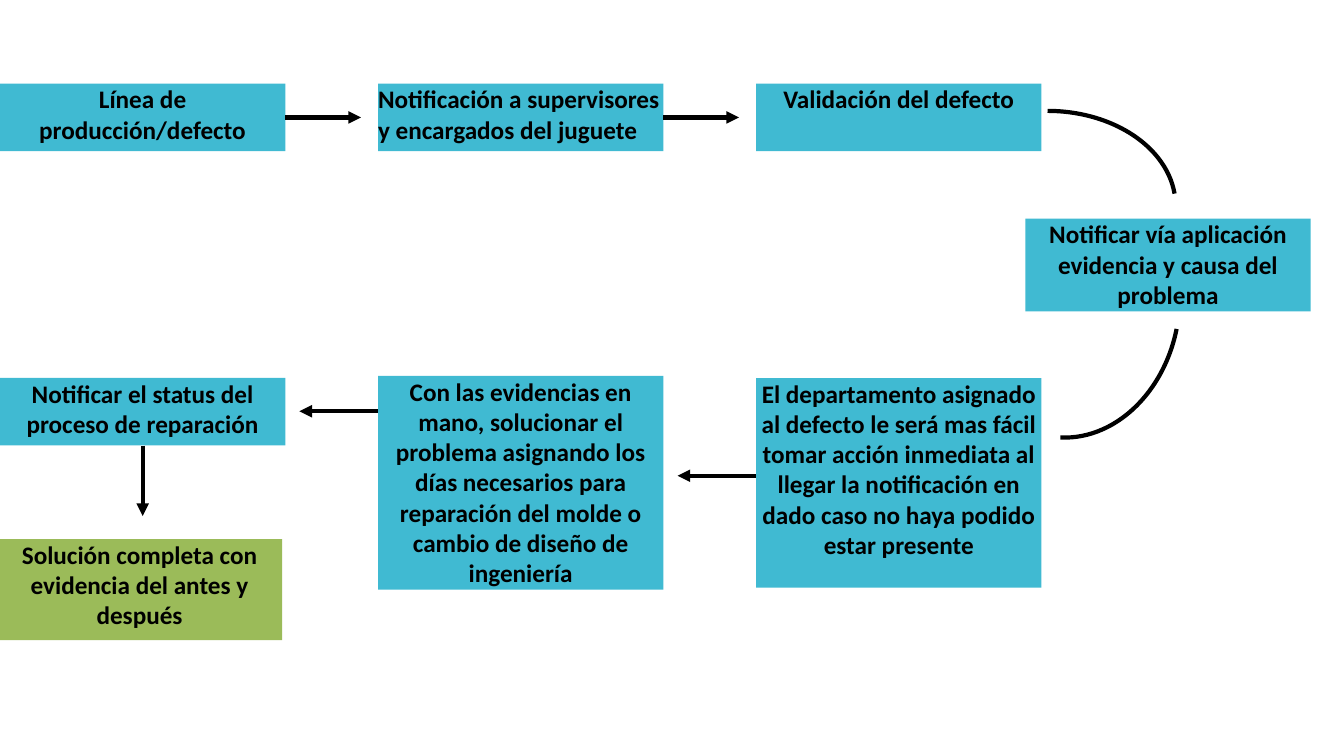
from pptx import Presentation
from pptx.dml.color import RGBColor
from pptx.enum.shapes import MSO_CONNECTOR as CONN, MSO_SHAPE as SHAPE
from pptx.enum.text import MSO_ANCHOR as ANCHOR, PP_ALIGN as ALIGN
from pptx.oxml.ns import qn
from pptx.util import Inches, Pt
from lxml.etree import SubElement

BLUE = RGBColor(0x40, 0xBA, 0xD2)
GREEN = RGBColor(0x9B, 0xBB, 0x59)
BLACK = RGBColor(0, 0, 0)
BOX_W = 2.83
RIGHT, BOTTOM = 3, 2  # connection sites
LEFT_X, MID_X, RIGHT_X = 0, 3.75, 7.5


def add_box(s, x, y, h, text, fill=BLUE, align=ALIGN.CENTER):
    sp = s.shapes.add_shape(SHAPE.RECTANGLE, Inches(x), Inches(y), Inches(BOX_W), Inches(h))
    sp.shadow.inherit = False
    sp.fill.solid()
    sp.fill.fore_color.rgb = fill
    sp.line.fill.background()
    tf = sp.text_frame
    tf.word_wrap = True
    tf.vertical_anchor = ANCHOR.TOP
    tf.margin_left = tf.margin_right = tf.margin_top = tf.margin_bottom = 0
    p = tf.paragraphs[0]
    p.text = text
    p.alignment = align
    p.font.name = "Calibri"
    p.font.size = Pt(18)
    p.font.bold = True
    p.font.color.rgb = BLACK
    return sp


def set_stroke(sp):
    sp.line.color.rgb = BLACK
    sp.line.width = Pt(3)


def add_arrow(s, x, y, dx, dy, box=None, site=None):
    cn = s.shapes.add_connector(CONN.STRAIGHT, Inches(x), Inches(y),
                                Inches(x + dx), Inches(y + dy))
    if box is not None:
        cn.begin_connect(box, site)
    set_stroke(cn)
    SubElement(cn.line._get_or_add_ln(), qn("a:tailEnd"), type="triangle")
    SubElement(cn._element.spPr, qn("a:effectLst"))


def add_arc(s, x, y, w, h, rotation=0):
    sp = s.shapes.add_shape(SHAPE.ARC, Inches(x), Inches(y), Inches(w), Inches(h))
    sp.shadow.inherit = False
    sp.adjustments[0] = 162
    sp.adjustments[1] = 212.755
    sp.rotation = rotation
    sp.fill.background()
    set_stroke(sp)


def add_detection_row(s, y):
    """Top row, read from left to right."""
    h = 0.67
    line = add_box(s, LEFT_X, y, h, "Línea de producción/defecto")
    notice = add_box(s, MID_X, y, h, "Notificación a supervisores y encargados del juguete",
                     align=ALIGN.LEFT)
    add_box(s, RIGHT_X, y, h, "Validación del defecto")
    for x, box in ((LEFT_X, line), (MID_X, notice)):
        add_arrow(s, x + BOX_W, y + h / 2, 0.75, 0, box, RIGHT)


def add_app_notice(s, x, y):
    """Turn on the right, with an arc above and below."""
    add_box(s, x, y, 0.92, "Notificar vía aplicación evidencia y causa del problema")
    add_arc(s, x - 1.05, y - 1.07, 2.54, 1.88)
    add_arc(s, x - 0.81, y - 0.15, 2.58, 2.08, 101.3)


def add_repair_row(s, y):
    """Bottom row, read from right to left, then down."""
    add_box(s, RIGHT_X, y, 2.08,
            "El departamento asignado al defecto le será mas fácil tomar acción inmediata "
            "al llegar la notificación en dado caso no haya podido estar presente")
    add_box(s, MID_X, y - 0.02, 2.12,
            "Con las evidencias en mano, solucionar el problema asignando los días necesarios "
            "para reparación del molde o cambio de diseño de ingeniería")
    status = add_box(s, LEFT_X, y, 0.67, "Notificar el status del proceso de reparación")
    add_box(s, LEFT_X - 0.03, y + 1.6, 1, "Solución completa con evidencia del antes y después",
            GREEN)
    add_arrow(s, RIGHT_X, y + 0.97, -0.78, 0)
    add_arrow(s, MID_X, y + 0.33, -0.78, 0)
    add_arrow(s, LEFT_X + BOX_W / 2, y + 0.67, 0, 0.7, status, BOTTOM)


def main():
    prs = Presentation()
    prs.slide_width, prs.slide_height = Inches(13.33), Inches(7.5)
    s = prs.slides.add_slide(prs.slide_layouts[6])
    add_detection_row(s, 0.83)
    add_app_notice(s, 10.17, 2.17)
    add_repair_row(s, 3.75)
    prs.save("out.pptx")


if __name__ == "__main__":
    main()
